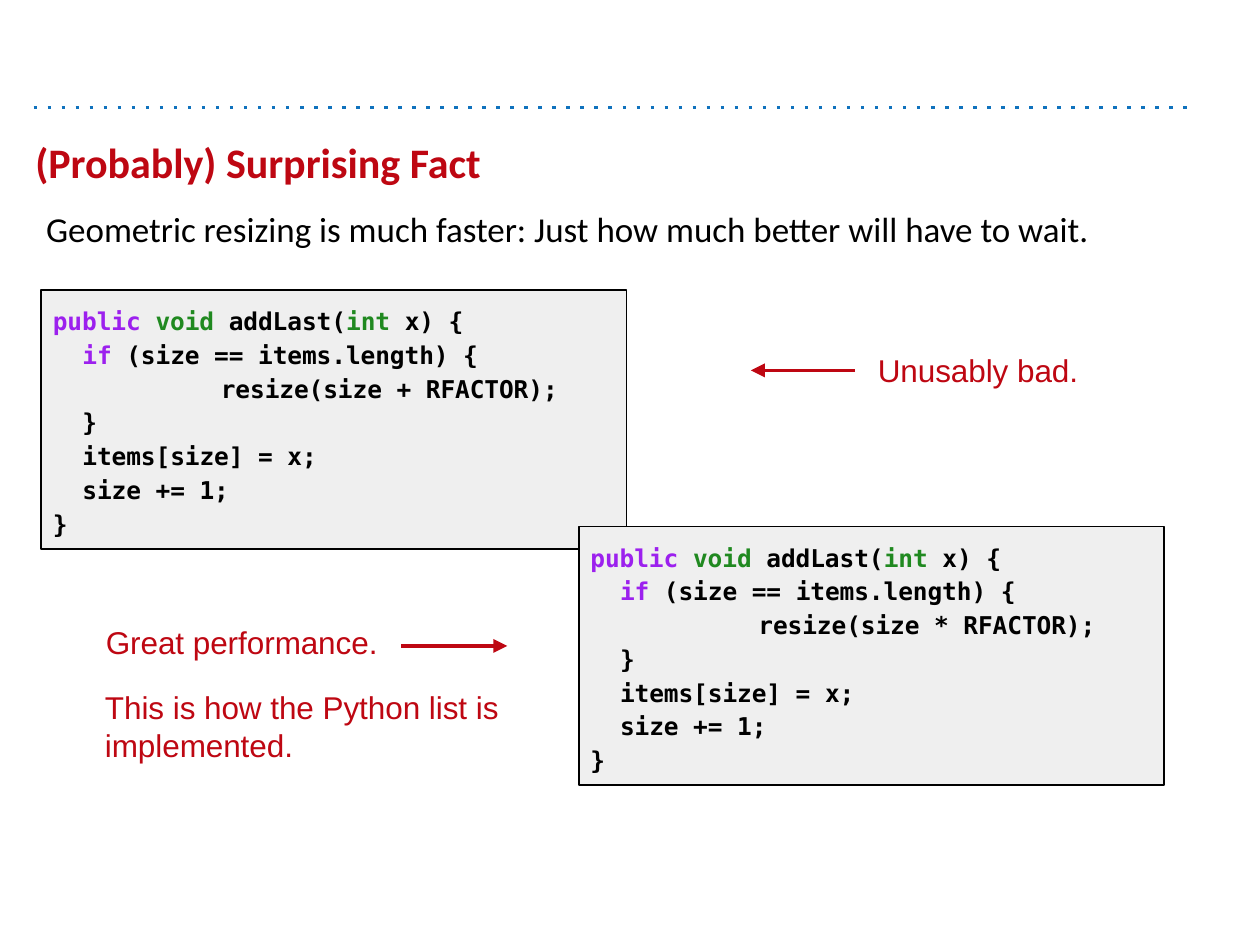
from dataclasses import dataclass
from typing import NamedTuple

from lxml import etree
from pptx import Presentation
from pptx.dml.color import RGBColor
from pptx.enum.shapes import MSO_CONNECTOR, MSO_SHAPE
from pptx.enum.text import MSO_ANCHOR, PP_ALIGN
from pptx.oxml.ns import qn
from pptx.util import Inches, Pt

RECT = MSO_SHAPE.RECTANGLE
STRAIGHT = MSO_CONNECTOR.STRAIGHT
TOP, BOTTOM = MSO_ANCHOR.TOP, MSO_ANCHOR.BOTTOM
LEFT = PP_ALIGN.LEFT

# The slide is a grid of 75 columns by 56.25 rows, with square cells
COLS, ROWS = 75, 56.25
CELL = Inches(7.5) / COLS


@dataclass(frozen=True)
class Theme:
    red: str = "BE0712"
    blue: str = "1072BD"
    black: str = "000000"
    purple: str = "9C20EE"
    green: str = "208920"
    panel: str = "EFEFEF"
    heading_font: str = "Calibri"
    note_font: str = "Arial"
    code_font: str = "DejaVu Sans Mono"
    title_size: float = 18
    body_size: float = 15
    note_size: float = 13.5
    code_size: float = 10.5
    rule_width: float = 1.5
    border_width: float = 0.75


T = Theme()


class Box(NamedTuple):
    col: float
    row: float
    cols: float
    rows: float


class Label(NamedTuple):
    text: str
    box: Box
    font: str
    size: float
    color: str
    bold: bool = False
    anchor: MSO_ANCHOR = TOP
    before: float = 0


class Rule(NamedTuple):
    start: float
    end: float
    row: float
    color: str
    dotted: bool = False


class CodeLine(NamedTuple):
    runs: list[tuple[str, str]]
    indent: float = 0


class Listing(NamedTuple):
    box: Box
    operator: str


def grid(n: float) -> int:
    return round(n * CELL)


def style_frame(tf, anchor: MSO_ANCHOR) -> None:
    inset = grid(0.7)
    values = {"word_wrap": True, "vertical_anchor": anchor,
              "margin_left": inset, "margin_right": inset,
              "margin_top": inset, "margin_bottom": inset}
    for name, value in values.items():
        setattr(tf, name, value)


def add_run(p, text: str, font: str, size: float, color: str, bold: bool) -> None:
    r = p.add_run()
    r.text = text
    for name, value in {"name": font, "size": Pt(size), "bold": bold}.items():
        setattr(r.font, name, value)
    r.font.color.rgb = RGBColor.from_string(color)


def add_label(s, label: Label) -> None:
    tf = s.shapes.add_textbox(*map(grid, label.box)).text_frame
    style_frame(tf, label.anchor)
    p = tf.paragraphs[0]
    p.space_before = Pt(label.before)
    add_run(p, label.text, label.font, label.size, label.color, label.bold)


def add_rule(s, rule: Rule) -> None:
    y = grid(rule.row)
    line = s.shapes.add_connector(STRAIGHT, grid(rule.start), y, grid(rule.end), y)
    line.line.color.rgb = RGBColor.from_string(rule.color)
    line.line.width = Pt(T.rule_width)
    props = line._element.spPr
    tag, kind, value = (("a:prstDash", "val", "dot") if rule.dotted
                        else ("a:tailEnd", "type", "triangle"))
    etree.SubElement(props.find(qn("a:ln")), qn(tag)).set(kind, value)
    etree.SubElement(props, qn("a:effectLst"))


def code_lines(operator: str) -> list[CodeLine]:
    step, deep = 1.76, 10
    return [
        CodeLine([("public", T.purple), (" ", T.black), ("void", T.green),
                  (" addLast(", T.black), ("int", T.green), (" x) {", T.black)]),
        CodeLine([("if", T.purple), (" (size == items.length) {", T.black)], step),
        CodeLine([(f"resize(size {operator} RFACTOR);", T.black)], deep),
        CodeLine([("}", T.black)], step),
        CodeLine([("items[size] = x;", T.black)], step),
        CodeLine([("size += 1;", T.black)], step),
        CodeLine([("}", T.black)]),
    ]


def add_listing(s, listing: Listing) -> None:
    sp = s.shapes.add_shape(RECT, *map(grid, listing.box))
    sp.shadow.inherit = False
    sp.fill.solid()
    sp.fill.fore_color.rgb = RGBColor.from_string(T.panel)
    sp.line.color.rgb = RGBColor.from_string(T.black)
    sp.line.width = Pt(T.border_width)
    tf = sp.text_frame
    style_frame(tf, TOP)
    for i, line in enumerate(code_lines(listing.operator)):
        p = tf.add_paragraph() if i else tf.paragraphs[0]
        p.alignment, p.line_spacing = LEFT, 1.15
        pPr = p._p.get_or_add_pPr()
        pPr.set("marL", str(grid(line.indent)))
        pPr.set("indent", "0")
        for text, color in line.runs:
            add_run(p, text, T.code_font, T.code_size, color, True)


def note(text: str, box: Box) -> Label:
    return Label(text, box, T.note_font, T.note_size, T.red)


LABELS = [
    Label("(Probably) Surprising Fact", Box(1.4, 7.75, 67.5, 4.1),
          T.heading_font, T.title_size, T.red, True, BOTTOM),
    Label("Geometric resizing is much faster: Just how much better will have to wait.",
          Box(2.05, 11.65, 69.3, 4.1), T.heading_font, T.body_size, T.black, before=4.5),
    note("Unusably bad.", Box(51.55, 20.2, 15.5, 2.9)),
    note("Great performance.", Box(5.6, 36.4, 17.8, 2.9)),
    note("This is how the Python list is implemented.", Box(5.55, 40.25, 25.7, 2.9)),
]
RULES = [
    Rule(2, 71.2, 6.4, T.blue, dotted=True),
    Rule(50.9, 44.7, 22.05, T.red),
    Rule(23.9, 30.2, 38.45, T.red),
]
LISTINGS = [
    Listing(Box(2.45, 17.27, 34.85, 15.4), "+"),
    Listing(Box(34.45, 31.35, 34.85, 15.4), "*"),
]


def main() -> None:
    prs = Presentation()
    prs.slide_width, prs.slide_height = grid(COLS), grid(ROWS)
    s = prs.slides.add_slide(prs.slide_layouts[6])

    # Dotted rule and arrows
    for rule in RULES:
        add_rule(s, rule)
    # Title, statement and notes
    for label in LABELS:
        add_label(s, label)
    # Code panels, the second overlapping the first
    for listing in LISTINGS:
        add_listing(s, listing)

    prs.save("out.pptx")


if __name__ == "__main__":
    main()
